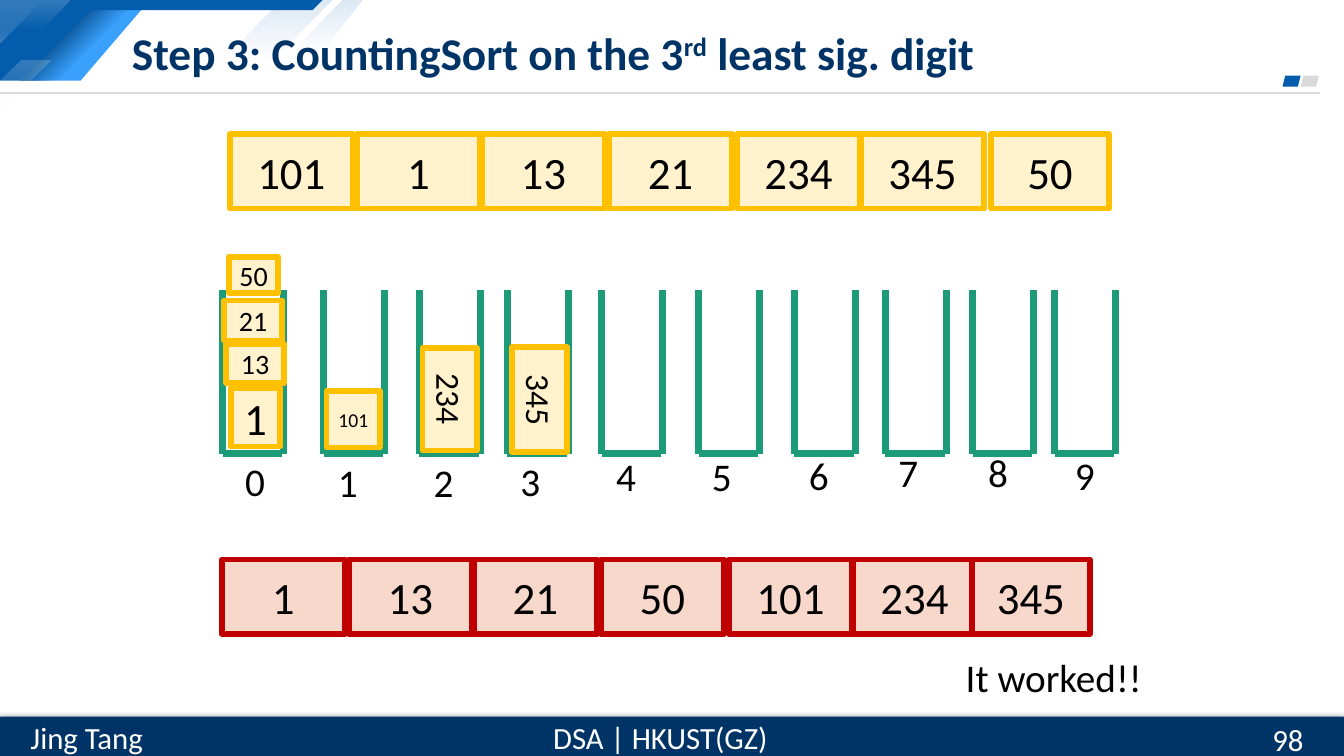
from lxml import etree
from pptx import Presentation
from pptx.dml.color import RGBColor
from pptx.enum.shapes import MSO_CONNECTOR, MSO_SHAPE
from pptx.enum.text import MSO_ANCHOR, PP_ALIGN
from pptx.oxml import parse_xml
from pptx.oxml.ns import nsdecls, qn
from pptx.util import Inches, Pt

RECTANGLE, TRIANGLE = MSO_SHAPE.RECTANGLE, MSO_SHAPE.RIGHT_TRIANGLE
PARALLELOGRAM, STRAIGHT = MSO_SHAPE.PARALLELOGRAM, MSO_CONNECTOR.STRAIGHT
LEFT, CENTER = PP_ALIGN.LEFT, PP_ALIGN.CENTER
TOP, MIDDLE = MSO_ANCHOR.TOP, MSO_ANCHOR.MIDDLE
COLORS = {name: RGBColor.from_string(code) for name, code in {
    "navy": "003366", "blue": "035CAC", "deep": "024581", "sky": "39A0FC",
    "grey": "D9D9D9", "white": "FFFFFF", "black": "000000", "green": "1D9A78",
    "cream": "FFF2CC", "gold": "FFC000", "pink": "F8D8CA", "red": "C00000",
}.items()}

deck = Presentation()
deck.slide_width, deck.slide_height = Inches(13.33), Inches(7.5)
page = deck.slides.add_slide(deck.slide_layouts[6])

# Square grid: 133.3 columns by 75 rows
COL = deck.slide_width / 133.3
ROW = deck.slide_height / 75


def add_box(place, runs=(), size=28, color="black", fill=None, line=None,
            align=CENTER, anchor=MIDDLE, bold=False, kind=RECTANGLE):
    """Place is left, top, width, height on the grid; no fill gives a text box."""
    left, top, width, height = place
    area = [round(v) for v in (left * COL, top * ROW, width * COL, height * ROW)]
    if fill:
        box = page.shapes.add_shape(kind, *area)
        box.shadow.inherit = False
        box.fill.solid()
        box.fill.fore_color.rgb = COLORS[fill]
        if line:
            box.line.color.rgb = COLORS[line]
            box.line.width = Pt(4)
        else:
            box.line.fill.background()
    else:
        box = page.shapes.add_textbox(*area)
    if runs:
        frame = box.text_frame
        frame.word_wrap = True
        frame.vertical_anchor = anchor
        para = frame.paragraphs[0]
        para.alignment = align
        for text in runs:
            span = para.add_run()
            span.text = text
            span.font.name = "Calibri"
            span.font.size = Pt(size)
            span.font.bold = bold
            span.font.color.rgb = COLORS[color]
    return box


def add_line(x1, y1, x2, y2, color, weight):
    line = page.shapes.add_connector(STRAIGHT, round(x1 * COL), round(y1 * ROW),
                                     round(x2 * COL), round(y2 * ROW))
    line.line.color.rgb = COLORS[color]
    line.line.width = Pt(weight)
    etree.SubElement(line._element.spPr, qn("a:effectLst"))


# Corner ornament: outline, colour, gradient (angle, then position and opacity of each stop)
band = [(8.4, 0.7), (14.5, 0.7), (7.5, 7.6), (1.6, 7.6)]
fade_20 = (270, (0, 20), (1, 0))
fade_15 = (270, (0, 15), (1, 0))
ornaments = [
    (band, "sky", None),
    (band, "deep", (315, (0.29, 100), (0.57, 0))),
    ([(0, 0), (32.5, 0), (31.2, 1.3), (8.7, 1.3), (2.5, 8.1), (0, 8.1)], "blue", None),
    (None, "white", fade_20),
    ([(0, 0), (6.6, 0), (3.9, 2.8), (0, 2.8)], "white", fade_20),
    ([(28.4, 0), (33.3, 0), (27.2, 6.1), (22.2, 6.1)], "blue", fade_15),
    ([(34, 0), (36.4, 0), (31.5, 4.9), (29.1, 4.9)], "blue", fade_15),
    ([(2.3, 6), (5.3, 6), (-0.7, 12), (-3.7, 12)], "white", fade_20),
]
for outline, color, gradient in ornaments:
    if outline:
        builder = page.shapes.build_freeform(*outline[0], scale=(COL, ROW))
        builder.add_line_segments(outline[1:], close=True)
        shape = builder.convert_to_shape()
        shape.shadow.inherit = False
        shape.line.fill.background()
    else:
        shape = add_box((0, 0, 4.2, 4.2), fill=color, kind=TRIANGLE)
        shape._element.spPr.xfrm.set("flipV", "1")
    if gradient:
        angle, *stops = gradient
        shape.fill.gradient()
        shape.fill.gradient_angle = angle
        for stop, (position, opacity) in zip(shape.fill.gradient_stops, stops):
            stop.position = position
            stop.color.rgb = COLORS[color]
        tints = shape._element.spPr.iter(qn("a:srgbClr"))
        for tint, (position, opacity) in zip(tints, stops):
            etree.SubElement(tint, qn("a:alpha")).set("val", str(opacity * 1000))
    else:
        shape.fill.solid()
        shape.fill.fore_color.rgb = COLORS[color]

# Header rule and its two markers
add_line(0, 9.2, 130.9, 9.2, "grey", 1.5)
for left, color in [(129, "grey"), (127.2, "blue")]:
    add_box((left, 7.5, 1.8, 1.1), fill=color, kind=PARALLELOGRAM)

# Footer bar with a soft shadow
footer = add_box((0, 71.1, 133.3, 3.9), fill="navy")
footer._element.spPr.xfrm.set("flipV", "1")
footer._element.spPr.find(qn("a:effectLst")).append(parse_xml(
    f'<a:outerShdw {nsdecls("a")} blurRad="{Pt(4.5)}" dist="{Pt(1.5)}" dir="5400000">'
    '<a:srgbClr val="000000"><a:alpha val="63000"/></a:srgbClr></a:outerShdw>'))
for place, text, align in [((53.6, 70.8, 23.8, 4.7), "DSA | HKUST(GZ)", CENTER),
                           ((1.6, 70.8, 14, 4.7), "Jing Tang", CENTER),
                           ((125.2, 71.3, 8.1, 4), "98", LEFT)]:
    add_box(place, [text], 22, "white", align=align)

# Title with a raised ordinal
title = add_box((12.1, 1.7, 102.1, 6.9),
                ["Step 3: CountingSort on the 3", "rd", " least sig. digit"],
                32.4, "navy", align=LEFT, bold=True)
ordinal = title.text_frame.paragraphs[0].runs[1]
ordinal.font._element.set("baseline", "30000")

# Ten buckets: left edge, label left, label top
buckets = [(22.1, 23.3, 44.9), (32.1, 32.5, 45), (41.6, 42, 45), (50.3, 50.6, 44.9),
           (59.7, 60.1, 44.4), (69.3, 69.6, 44.4), (78.8, 79.2, 44.3),
           (87.8, 88.1, 44), (96.5, 97, 44), (104.6, 105.6, 44.3)]
for digit, (left, label_left, label_top) in enumerate(buckets):
    for side in (left, left + 6.05):
        add_line(side, 28.8, side, 45, "green", 5)
    add_line(left + 5.9, 45, left, 45, "green", 5)
    add_box((label_left, label_top, 4, 5.7), [str(digit)], anchor=TOP)

# Numbers dropped into the buckets
for place, text, size, turn in [
        ((22.7, 25.5, 4.9, 3.6), "50", 20, 0), ((22.2, 29.8, 5.8, 4), "21", 20, 0),
        ((22.4, 34.1, 5.8, 3.9), "13", 20, 0), ((32.4, 38.8, 5.3, 5.6), "101", 14, 0),
        ((39.5, 36.9, 10.2, 5.4), "234", 24, 90), ((22.9, 38.5, 4.9, 5.8), "1", 32, 0),
        ((48.3, 36.9, 10.4, 5.5), "345", 24, 90)]:
    add_box(place, [text], size, fill="cream", line="gold").rotation = turn

# Sorted output and input arrays; the last cell is narrower
offsets = [0, 12.6, 25, 37.6, 50.3, 62.6]
for left, top, last, fill, line, numbers in [
        (22, 55.5, 74.4, "pink", "red", [1, 13, 21, 50, 101, 234, 345]),
        (22.8, 13.3, 75.5, "cream", "gold", [101, 1, 13, 21, 234, 345, 50])]:
    for offset, number in zip(offsets + [last], numbers):
        width = 11.7 if offset == last else 12.2
        add_box((left + offset, top, width, 7.4), [str(number)], 32, fill=fill, line=line)

# Closing remark
add_box((94.8, 64.3, 19.6, 5.7), ["It worked!!"], align=LEFT, anchor=TOP)

deck.save("out.pptx")
